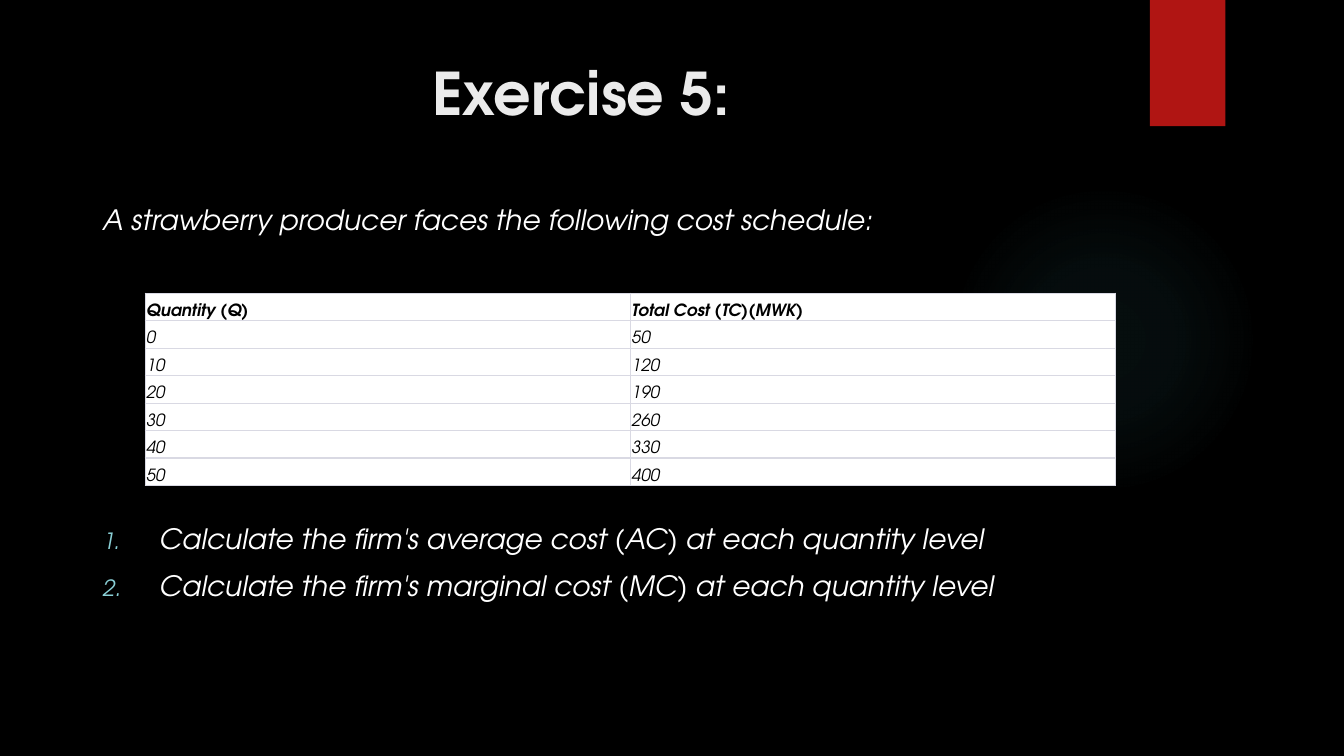
from lxml.etree import SubElement
from pptx import Presentation
from pptx.dml.color import RGBColor
from pptx.enum.shapes import MSO_SHAPE as Preset
from pptx.enum.text import MSO_ANCHOR as Anchor, PP_ALIGN as Align
from pptx.oxml import parse_xml
from pptx.oxml.ns import nsdecls, qn
from pptx.util import Cm, Pt

FONT = "TeX Gyre Adventor"
COLOURS = {
    "background": "000000",
    "glow": "50B9C1",
    "ribbon": "B01513",
    "title": "EBEBEB",
    "body": "FFFFFF",
    "number": "8AD0D6",
    "cell": "FFFFFF",
    "cell_text": "000000",
    "border": "D9D9E3",
}
GLOW_STOPS = [(0, 7), (36, 6), (69, 0)]
TITLE = {"size": Pt(42), "bold": True}
BODY = {"size": Pt(20), "italic": True}
CELL = {"size": Pt(12), "italic": True}
HEADER = {**CELL, "bold": True}
SPACED = {"alignment": Align.JUSTIFY, "line_spacing": 1.07, "space_after": Pt(8)}
COST_SCHEDULE = [
    ("Quantity (Q)", "Total Cost (TC)(MWK)"),
    ("0", "50"),
    ("10", "120"),
    ("20", "190"),
    ("30", "260"),
    ("40", "330"),
    ("50", "400"),
]
QUESTIONS = [
    "Calculate the firm's average cost (AC) at each quantity level",
    "Calculate the firm's marginal cost (MC) at each quantity level",
]


def colour(name):
    """Return the named colour."""
    return RGBColor.from_string(COLOURS[name])


def set_attributes(target, values):
    """Set every attribute in a dict of format values."""
    for name, value in values.items():
        setattr(target, name, value)


def write_paragraph(paragraph, text, text_format, colour_name, layout):
    """Fill a paragraph with one formatted run."""
    set_attributes(paragraph, layout)
    run = paragraph.add_run()
    run.text = text
    set_attributes(run.font, {"name": FONT, **text_format})
    run.font.color.rgb = colour(colour_name)


def add_text(slide, box, lines, text_format, colour_name, layout):
    """Add a wrapping text box with one paragraph per line."""
    frame = slide.shapes.add_textbox(*map(Cm, box)).text_frame
    frame.word_wrap = True
    for index, line in enumerate(lines):
        paragraph = frame.add_paragraph() if index else frame.paragraphs[0]
        write_paragraph(paragraph, line, text_format, colour_name, layout)
    return frame


def number_paragraphs(frame):
    """Turn the paragraphs of a frame into a numbered list."""
    for paragraph in frame.paragraphs:
        properties = paragraph._p.get_or_add_pPr()
        properties.set("marL", str(Cm(1.42)))
        properties.set("indent", str(-Cm(1.42)))
        bullet_colour = SubElement(properties, qn("a:buClr"))
        SubElement(bullet_colour, qn("a:srgbClr"), val=COLOURS["number"])
        SubElement(properties, qn("a:buSzPct"), val="80000")
        SubElement(properties, qn("a:buAutoNum"), type="arabicPeriod")


def add_block(slide, preset, box, colour_name):
    """Add a plain filled shape without outline or shadow."""
    shape = slide.shapes.add_shape(preset, *map(Cm, box))
    shape.shadow.inherit = False
    shape.fill.solid()
    shape.fill.fore_color.rgb = colour(colour_name)
    shape.line.fill.background()
    return shape


def add_glow(slide, box):
    """Add a circle that fades out from its centre."""
    shape = add_block(slide, Preset.OVAL, box, "glow")
    stops = "".join(
        f'<a:gs pos="{position * 1000}"><a:srgbClr val="{COLOURS["glow"]}">'
        f'<a:alpha val="{alpha * 1000}"/></a:srgbClr></a:gs>'
        for position, alpha in GLOW_STOPS
    )
    gradient = parse_xml(
        f'<a:gradFill {nsdecls("a")}><a:gsLst>{stops}</a:gsLst><a:path path="circle">'
        '<a:fillToRect l="50000" t="50000" r="50000" b="50000"/></a:path></a:gradFill>'
    )
    properties = shape._element.spPr
    properties.replace(properties.find(qn("a:solidFill")), gradient)


def add_borders(cell):
    """Draw a thin line on all four sides of a cell."""
    properties = cell._tc.get_or_add_tcPr()
    for index, side in enumerate(("lnL", "lnR", "lnT", "lnB")):
        line = parse_xml(
            f'<a:{side} {nsdecls("a")} w="{Pt(1)}"><a:solidFill>'
            f'<a:srgbClr val="{COLOURS["border"]}"/></a:solidFill></a:{side}>'
        )
        properties.insert(index, line)


def add_cost_table(slide, box, rows):
    """Add the cost schedule with a bold first row."""
    shape = slide.shapes.add_table(len(rows), len(rows[0]), *map(Cm, box))
    table = shape.table
    set_attributes(table, {"first_row": False, "horz_banding": False})
    margins = dict.fromkeys(
        ("margin_left", "margin_right", "margin_top", "margin_bottom"), Cm(0.03)
    )
    for row_index, row in enumerate(rows):
        text_format = CELL if row_index else HEADER
        for column_index, text in enumerate(row):
            cell = table.cell(row_index, column_index)
            set_attributes(cell, {**margins, "vertical_anchor": Anchor.BOTTOM})
            cell.fill.solid()
            cell.fill.fore_color.rgb = colour("cell")
            add_borders(cell)
            paragraph = cell.text_frame.paragraphs[0]
            write_paragraph(paragraph, text, text_format, "cell_text", SPACED)


def main():
    """Build the exercise slide and save it."""
    presentation = Presentation()
    set_attributes(presentation, {"slide_width": Cm(33.87), "slide_height": Cm(19.05)})
    slide = presentation.slides.add_slide(presentation.slide_layouts[6])
    slide.background.fill.solid()
    slide.background.fill.fore_color.rgb = colour("background")

    add_glow(slide, (23.9, 4.65, 7.82, 7.82))
    add_block(slide, Preset.RECTANGLE, (28.98, 0, 1.9, 3.18), "ribbon")
    centred = {"alignment": Align.CENTER}
    add_text(slide, (1.8, 1.3, 25.7, 2.2), ["Exercise 5:"], TITLE, "title", centred)
    intro = "A strawberry producer faces the following cost schedule:"
    add_text(slide, (2.34, 4.98, 29.2, 1.2), [intro], BODY, "body", {})
    add_cost_table(slide, (3.66, 7.39, 24.46, 4.85), COST_SCHEDULE)
    questions = add_text(slide, (2.34, 12.95, 29.2, 2.7), QUESTIONS, BODY, "body", SPACED)
    number_paragraphs(questions)

    presentation.save("out.pptx")


if __name__ == "__main__":
    main()
